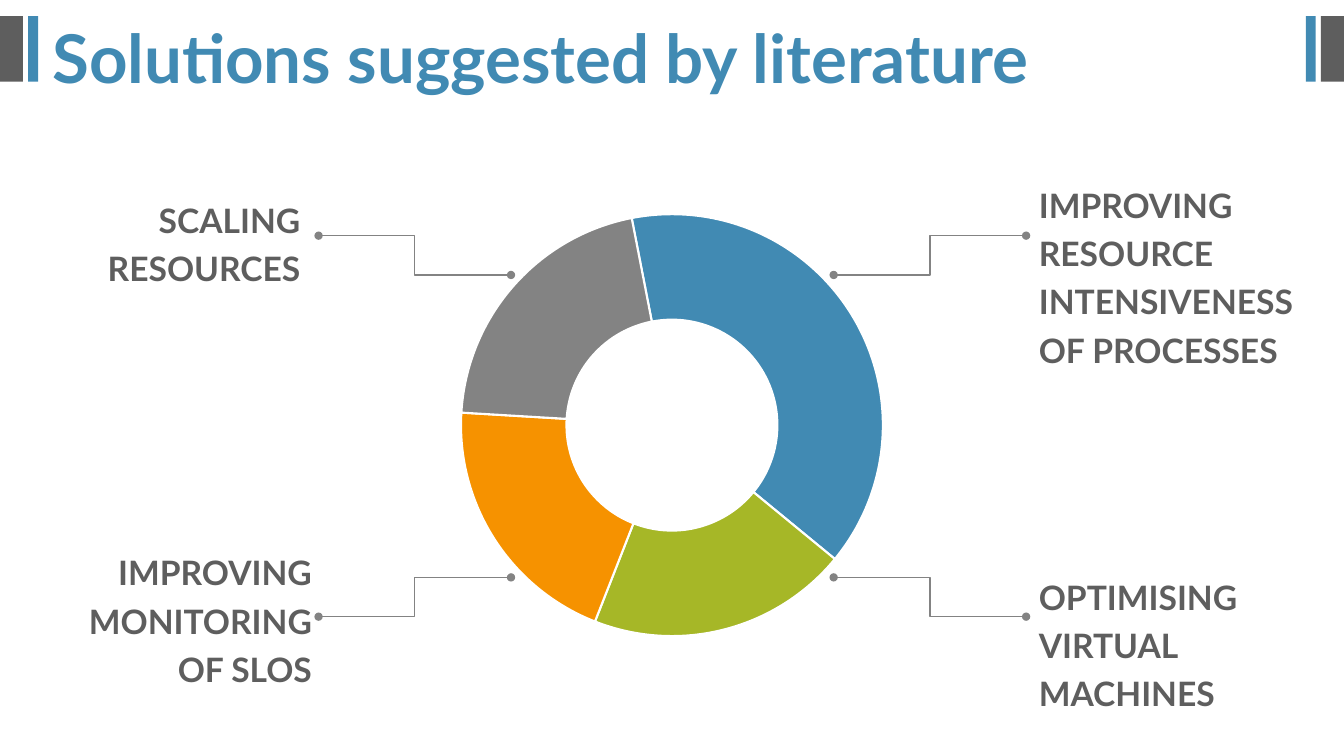
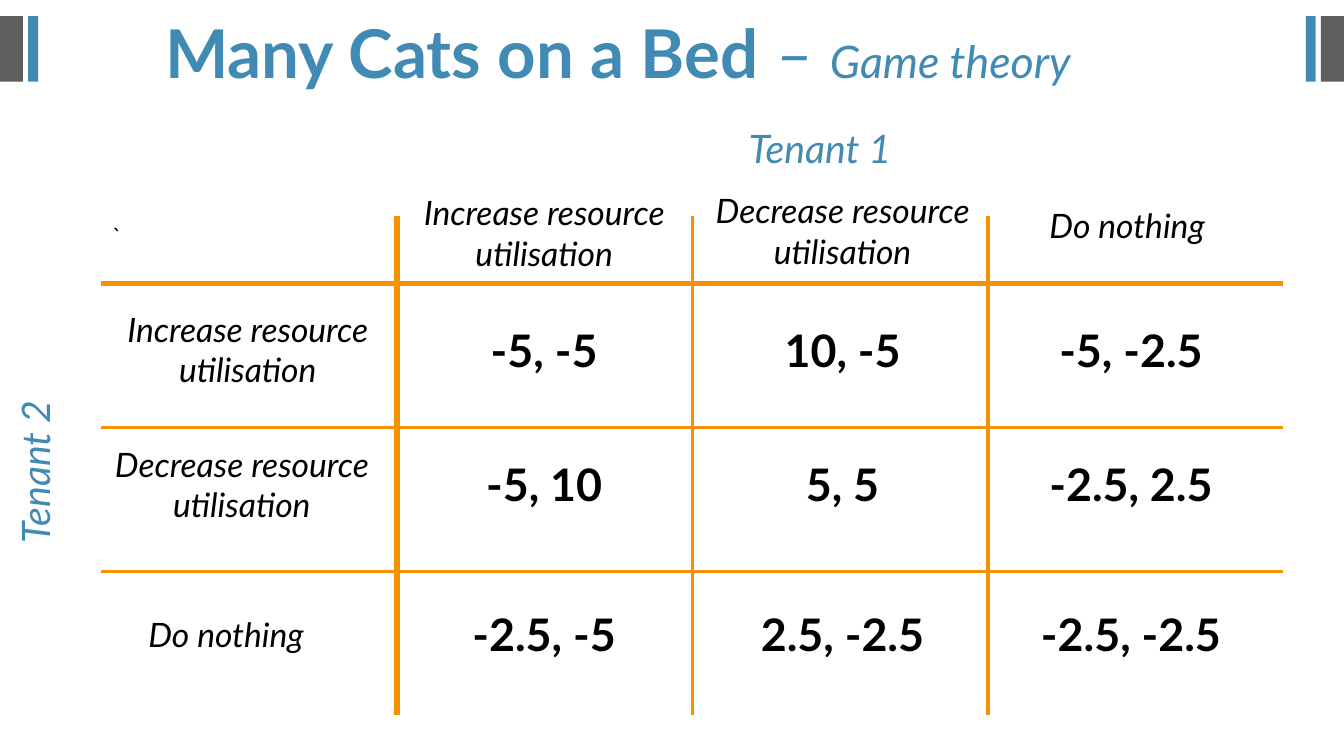
from dataclasses import dataclass

from lxml import etree
from pptx import Presentation
from pptx.chart.data import CategoryChartData
from pptx.dml.color import RGBColor
from pptx.enum.chart import XL_CHART_TYPE
from pptx.enum.shapes import MSO_CONNECTOR, MSO_SHAPE
from pptx.enum.text import MSO_AUTO_SIZE, PP_ALIGN
from pptx.oxml.ns import qn
from pptx.util import Cm, Pt

LEFT, CENTER, RIGHT = PP_ALIGN.LEFT, PP_ALIGN.CENTER, PP_ALIGN.RIGHT
RECTANGLE = MSO_SHAPE.RECTANGLE
ELBOW = MSO_CONNECTOR.ELBOW
DOUGHNUT = XL_CHART_TYPE.DOUGHNUT
GROW = MSO_AUTO_SIZE.SHAPE_TO_FIT_TEXT

SLIDE_WIDTH, SLIDE_HEIGHT = 33.87, 19.05


@dataclass(frozen=True)
class Theme:
    blue: str = "418AB3"
    green: str = "A6B727"
    orange: str = "F69200"
    gray: str = "838383"
    dark: str = "5E5E5E"
    black: str = "000000"
    white: str = "FFFFFF"
    font: str = "Lato"
    body_font: str = "Calibri"
    title_size: int = 48
    value_size: int = 32
    axis_size: int = 28
    label_size: int = 24
    cell_size: int = 18
    chart_size: int = 10
    thick_rule: float = 4.5
    thin_rule: float = 3


THEME = Theme()


def rgb(color):
    return RGBColor.from_string(color)


def write_run(paragraph, text, *, size, color, bold=False, italic=False, font=THEME.font):
    """Add one formatted run to a paragraph."""
    run = paragraph.add_run()
    run.text = text
    run.font.name = font
    run.font.size = Pt(size)
    run.font.bold = bold
    run.font.italic = italic
    run.font.color.rgb = rgb(color)


def set_border(cell, side, width, color):
    """Draw one side (L, R, T or B) of a table cell."""
    properties = cell._tc.get_or_add_tcPr()
    line = etree.SubElement(properties, qn(f"a:ln{side}"), w=str(Pt(width)))
    fill = etree.SubElement(line, qn("a:solidFill"))
    etree.SubElement(fill, qn("a:srgbClr"), val=color)


class Deck:
    """Holds the style and the current slide."""

    def __init__(self, theme):
        self.theme = theme
        self.presentation = Presentation()
        self.presentation.slide_width = Cm(SLIDE_WIDTH)
        self.presentation.slide_height = Cm(SLIDE_HEIGHT)
        self.slide = None

    def new_slide(self):
        """Start a slide with its side bars and bottom band."""
        self.slide = self.presentation.slides.add_slide(self.presentation.slide_layouts[6])
        for left, width, color in ((0, 0.58, self.theme.dark), (0.71, 0.25, self.theme.blue)):
            for bar_left in (left, SLIDE_WIDTH - left - width):
                self.rectangle(bar_left, 0.41, width, 1.65, color)
        self.rectangle(0, 17.98, SLIDE_WIDTH, 1.07, self.theme.white)

    def rectangle(self, left, top, width, height, color):
        shape = self.slide.shapes.add_shape(RECTANGLE, Cm(left), Cm(top), Cm(width), Cm(height))
        shape.shadow.inherit = False
        shape.fill.solid()
        shape.fill.fore_color.rgb = rgb(color)
        shape.line.fill.background()

    def text(self, box, text, *, align=CENTER, spacing=None, vertical=False, **style):
        """Add a text box and return its paragraph."""
        shape = self.slide.shapes.add_textbox(*map(Cm, box))
        frame = shape.text_frame
        frame.word_wrap = True
        frame.auto_size = GROW
        if vertical:
            frame._txBody.find(qn("a:bodyPr")).set("vert", "vert270")
        paragraph = frame.paragraphs[0]
        paragraph.alignment = align
        if spacing:
            paragraph.line_spacing = spacing
        write_run(paragraph, text, **style)
        return paragraph

    def title(self, left, top, width, text):
        return self.text((left, top, width, 1.93), text, align=LEFT, spacing=0.8,
                         size=self.theme.title_size, color=self.theme.blue, bold=True)

    def callout(self, box, text, align):
        self.text(box, text, align=align, spacing=1.2,
                  size=self.theme.label_size, color=self.theme.dark, bold=True)

    def axis(self, box, text, vertical=False):
        self.text(box, text, vertical=vertical,
                  size=self.theme.axis_size, color=self.theme.blue, italic=True)

    def label(self, left, top, text):
        self.text((left, top, 7.47, 1.27), text,
                  size=self.theme.label_size, color=self.theme.black, italic=True)

    def value(self, left, top, text):
        self.text((left, top, 7.47, 1.63), text,
                  size=self.theme.value_size, color=self.theme.black, bold=True)

    def leader(self, start, end):
        """Add an elbow line with a dot at both ends."""
        connector = self.slide.shapes.add_connector(ELBOW, *map(Cm, (*start, *end)))
        connector.line.color.rgb = rgb(self.theme.gray)
        connector.line.width = Pt(1)
        properties = connector._element.spPr
        line = properties.find(qn("a:ln"))
        for tag in ("a:headEnd", "a:tailEnd"):
            etree.SubElement(line, qn(tag), type="oval")
        etree.SubElement(properties, qn("a:effectLst"))

    def doughnut(self, box, values, colors):
        data = CategoryChartData()
        data.categories = [str(number) for number in range(1, len(values) + 1)]
        data.add_series("Series 1", values)
        chart = self.slide.shapes.add_chart(DOUGHNUT, *map(Cm, box), data).chart
        chart.has_legend = False
        chart.has_title = False
        chart.font.name = self.theme.body_font
        chart.font.size = Pt(self.theme.chart_size)
        chart.font.color.rgb = rgb(self.theme.black)
        plot = chart.plots[0]
        plot.vary_by_categories = True
        for index, color in enumerate(colors):
            slice_format = plot.series[0].points[index].format
            slice_format.fill.solid()
            slice_format.fill.fore_color.rgb = rgb(color)
            slice_format.line.color.rgb = rgb(self.theme.white)
            slice_format.line.width = Pt(1.5)

        # Ring rotation, hole and plot area
        area = chart._chartSpace.find(".//" + qn("c:plotArea"))
        for tag, number in (("c:firstSliceAng", 349), ("c:holeSize", 64)):
            area.find(".//" + qn(tag)).set("val", str(number))
        for old_layout in area.findall(qn("c:layout")):
            area.remove(old_layout)
        layout = etree.Element(qn("c:layout"))
        area.insert(0, layout)
        manual = etree.SubElement(layout, qn("c:manualLayout"))
        for tag, setting in (("layoutTarget", "inner"), ("xMode", "edge"), ("yMode", "edge"),
                             ("x", 0.19), ("y", 0.03), ("w", 0.62), ("h", 0.94)):
            etree.SubElement(manual, qn(f"c:{tag}"), val=str(setting))

    def grid(self, left, top, column_widths, row_heights, corner):
        """Add a table ruled on its inner edges only, heavier beside the headings."""
        rows, columns = len(row_heights), len(column_widths)
        table = self.slide.shapes.add_table(
            rows, columns, Cm(left), Cm(top),
            Cm(sum(column_widths)), Cm(sum(row_heights))).table
        table.first_row = False
        table.horz_banding = False
        for column, width in zip(table.columns, column_widths):
            column.width = Cm(width)
        for row, height in zip(table.rows, row_heights):
            row.height = Cm(height)

        def edges(count):
            return [None, self.theme.thick_rule, *[self.theme.thin_rule] * (count - 2), None]

        across, down = edges(columns), edges(rows)
        for r in range(rows):
            for c in range(columns):
                cell = table.cell(r, c)
                sides = zip("LRTB", (across[c], across[c + 1], down[r], down[r + 1]))
                for side, width in sides:
                    if width:
                        set_border(cell, side, width, self.theme.orange)
                cell.fill.background()
        write_run(table.cell(0, 0).text_frame.paragraphs[0], corner, font=self.theme.body_font,
                  size=self.theme.cell_size, color=self.theme.black)


def solutions_slide(deck):
    theme = deck.theme
    deck.new_slide()
    deck.title(1.07, 0.69, 29.16, "Solutions suggested by literature")
    deck.doughnut((8.36, 5, 17.15, 11.43), (39, 20, 20, 21),
                  (theme.blue, theme.green, theme.orange, theme.gray))

    # Leaders from the ring to the callouts
    for ring_x, callout_x in ((12.88, 8.03), (21.01, 25.86)):
        for ring_y, callout_y in ((6.93, 5.94), (14.55, 15.54)):
            deck.leader((ring_x, ring_y), (callout_x, callout_y))

    # Callouts
    for box, text, align in (
        ((2.31, 4.7, 5.51, 2.64), "SCALING RESOURCES", RIGHT),
        ((1.07, 13.59, 7.04, 3.86), "IMPROVING MONITORING OF SLOS", RIGHT),
        ((25.93, 4.32, 7.87, 5.11), "IMPROVING RESOURCE INTENSIVENESS OF PROCESSES", LEFT),
        ((25.93, 14.2, 7.87, 3.86), "OPTIMISING VIRTUAL MACHINES", LEFT),
    ):
        deck.callout(box, text, align)


def game_theory_slide(deck):
    theme = deck.theme
    deck.new_slide()
    title = deck.title(3.91, 0.56, 25.15, "Many Cats on a Bed ")
    write_run(title, "– ", size=theme.title_size, color=theme.blue, italic=True)
    write_run(title, "Game theory", size=theme.value_size, color=theme.blue, italic=True)

    # Payoff grid and its two players
    deck.grid(2.57, 5.46, [7.44] * 4, [1.68] + [3.63] * 3, "`")
    deck.axis((14.2, 3.02, 13.16, 1.45), "Tenant 1 ")
    deck.axis((0.15, 8.03, 1.7, 7.49), "Tenant 2 ", vertical=True)

    # Strategy labels
    strategies = ("Increase resource utilisation", "Decrease resource utilisation", "Do nothing ")
    column_labels = ((9.98, 4.72), (17.5, 4.67), (24.77, 5.03))
    row_labels = ((2.51, 7.65), (2.36, 11.05), (2.06, 15.34))
    for places in (column_labels, row_labels):
        for (left, top), strategy in zip(places, strategies):
            deck.label(left, top, strategy)

    # Payoffs
    payoffs = (
        (8, ("-5, -5", "10, -5", "-5, -2.5")),
        (11.38, ("-5, 10", "5, 5", "-2.5, 2.5")),
        (15.16, ("-2.5, -5", "2.5, -2.5", "-2.5, -2.5")),
    )
    for top, row in payoffs:
        for (left, _), payoff in zip(column_labels, row):
            deck.value(left, top, payoff)


def main():
    deck = Deck(THEME)
    solutions_slide(deck)
    game_theory_slide(deck)
    deck.presentation.save("out.pptx")


if __name__ == "__main__":
    main()
